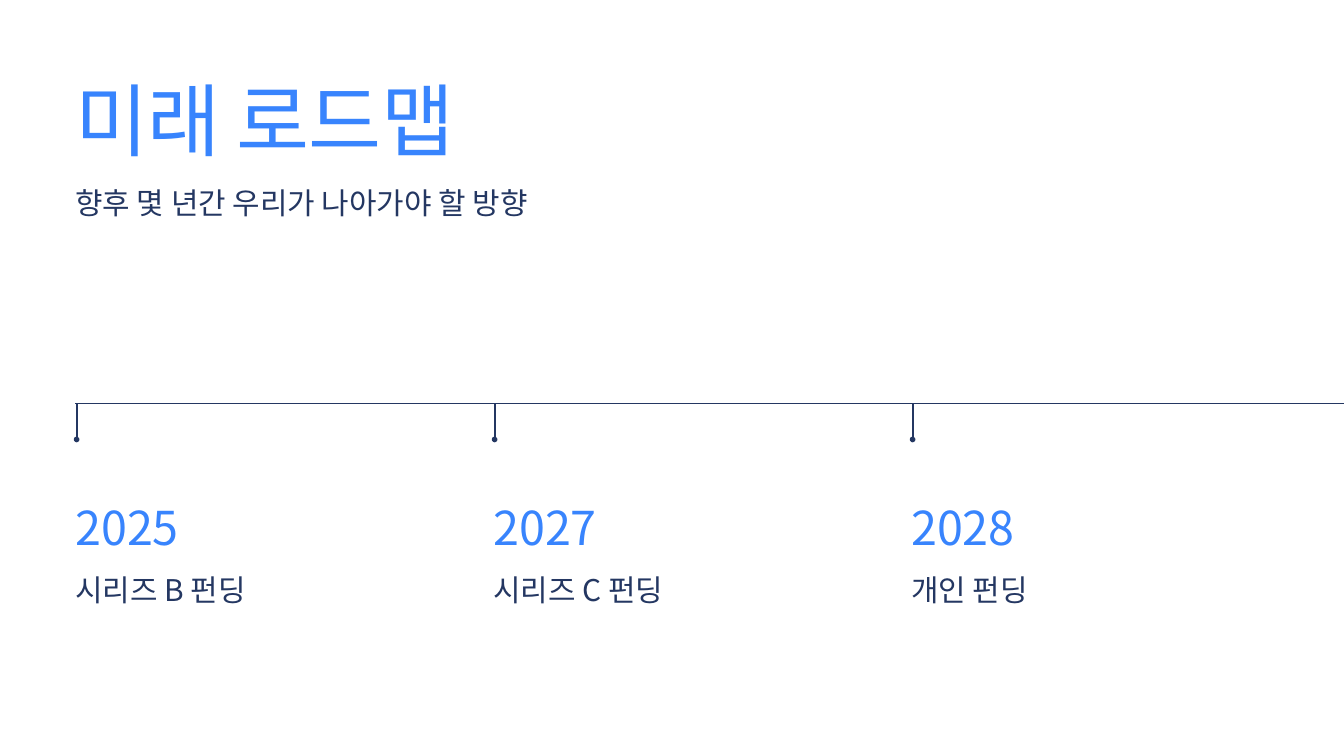
from pptx import Presentation
from pptx.dml.color import RGBColor
from pptx.enum.shapes import MSO_CONNECTOR
from pptx.enum.text import MSO_ANCHOR, MSO_AUTO_SIZE, PP_ALIGN
from pptx.oxml.ns import qn
from pptx.util import Inches, Pt
from lxml.etree import SubElement

BLUE, NAVY = "3884FD", "243762"
LATIN, KOREAN = "Calibri", "Noto Sans CJK KR"
LEFT, STEP, AXIS_Y = 1.12, 6.22, 6
MILESTONES = [
    ("2025", "시리즈 B 펀딩", KOREAN),
    ("2027", "시리즈 C 펀딩", KOREAN),
    ("2028", "개인 펀딩", LATIN),
]


def rgb(value):
    """Return the colour for a hex string."""
    return RGBColor.from_string(value)


def set_text(sp, box, text, size, leading, color, font):
    """Place a text shape and fill it with one left-aligned paragraph."""
    sp.left, sp.top, sp.width, sp.height = [Inches(v) for v in box]
    tf = sp.text_frame
    tf.word_wrap = True
    tf.auto_size = MSO_AUTO_SIZE.SHAPE_TO_FIT_TEXT
    tf.vertical_anchor = MSO_ANCHOR.TOP
    tf.margin_left = tf.margin_top = tf.margin_right = tf.margin_bottom = 0
    p = tf.paragraphs[0]
    p.text = text
    p.alignment = PP_ALIGN.LEFT
    p.line_spacing = Pt(leading)
    p.space_before = Pt(0)
    p.font.size = Pt(size)
    p.font.name = font
    p.font.color.rgb = rgb(color)
    return p


def add_text(s, box, *style):
    """Add a text box with the given text and style."""
    return set_text(s.shapes.add_textbox(0, 0, 0, 0), box, *style)


def add_line(s, x1, y1, x2, y2, width, dot=False):
    """Add a navy line, with a round dot at its end if asked."""
    ends = [Inches(v) for v in (x1, y1, x2, y2)]
    sp = s.shapes.add_connector(MSO_CONNECTOR.STRAIGHT, *ends)
    sp.line.width = Pt(width)
    sp.line.color.rgb = rgb(NAVY)
    if dot:
        SubElement(sp.line._get_or_add_ln(), qn("a:tailEnd"), type="oval")
    SubElement(sp._element.spPr, qn("a:effectLst"))


def add_milestone(s, x, year, label, font):
    """Add a year, its label and the dotted tick above them."""
    add_text(s, (x, 7.28, 4.64, 0.93), year, 50, 70, BLUE, KOREAN)
    add_text(s, (x, 8.5, 4.64, 0.54), label, 32, 38.4, NAVY, font)
    add_line(s, x + 0.02, AXIS_Y, x + 0.02, AXIS_Y + 0.54, 2, dot=True)


def main():
    """Build the roadmap slide."""
    prs = Presentation()
    prs.slide_width, prs.slide_height = Inches(20), Inches(11.25)
    s = prs.slides.add_slide(prs.slide_layouts[0])
    title, subtitle = s.placeholders
    p = set_text(title, (LEFT, 1.18, 12.44, 1.36), "미래 로드맵", 85, 93.5, BLUE, LATIN)
    p.runs[0]._r.get_or_add_rPr().set("spc", "-80")
    set_text(subtitle, (LEFT, 2.66, 12.44, 0.6),
             "향후 몇 년간 우리가 나아가야 할 방향", 32, 44.8, NAVY, LATIN)
    add_line(s, LEFT, AXIS_Y, 20, AXIS_Y, 0.75)
    for i, milestone in enumerate(MILESTONES):
        add_milestone(s, LEFT + i * STEP, *milestone)
    prs.save("out.pptx")


if __name__ == "__main__":
    main()
